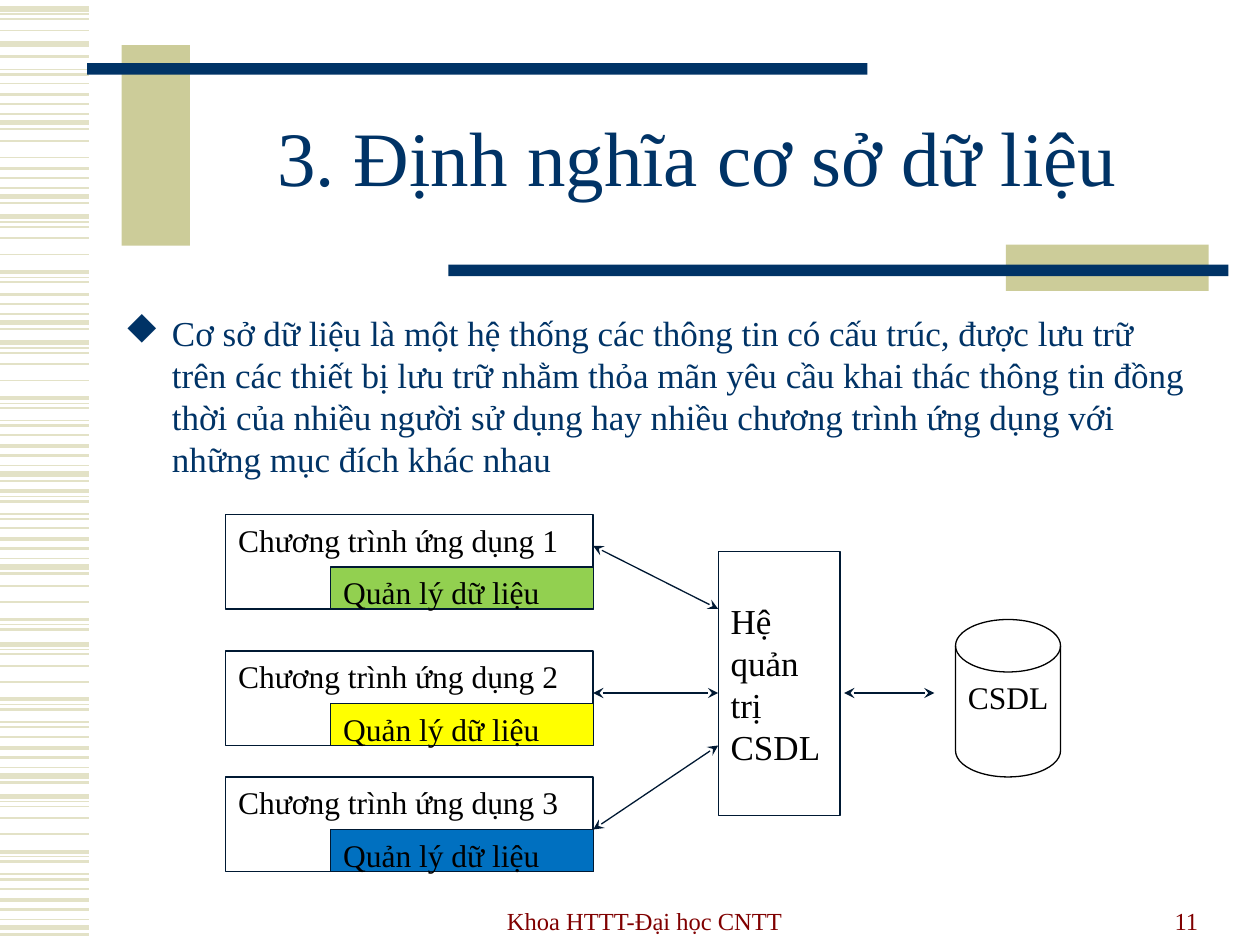
"""Build the slide that defines a database, with its stripes, boxes and arrows."""
from dataclasses import dataclass
from typing import NamedTuple

import lxml.etree
import pptx
import pptx.dml.color
import pptx.enum.shapes
import pptx.enum.text
import pptx.oxml.ns
import pptx.util

Kind = pptx.enum.shapes.MSO_SHAPE
Align = pptx.enum.text.PP_ALIGN
Anchor = pptx.enum.text.MSO_ANCHOR
qn = pptx.oxml.ns.qn

WIDE, HIGH = pptx.util.Inches(10), pptx.util.Inches(7.5)
COLS, ROWS = 120, 90


@dataclass(frozen=True)
class Theme:
    font: str = "Times New Roman"
    signs: str = "Wingdings"
    diamond: str = "u"
    navy: str = "003366"
    edge: str = "001933"
    sand: str = "CCCC99"
    pale: str = "E3E2C7"
    wine: str = "800000"
    ink: str = "000000"
    white: str = "FFFFFF"
    title: int = 44
    body: int = 20
    label: int = 18
    foot: int = 14
    thin: float = 0.75


class Area(NamedTuple):
    col: float
    row: float
    wide: float
    high: float


class Stripe(NamedTuple):
    row: float
    weight: float


class Run(NamedTuple):
    start: float
    first: int = 0
    last: int = 10


class App(NamedTuple):
    row: float
    fill: str


class Link(NamedTuple):
    left: float
    top: float
    right: float
    end: float


THEME = Theme()
BARS = [
    (Area(11.6, 4.3, 6.5, 19.1), THEME.sand),
    (Area(8.3, 6, 74.3, 1.1), THEME.navy),
    (Area(95.8, 23.3, 19.3, 4.4), THEME.sand),
    (Area(42.7, 25.2, 74.3, 1.1), THEME.navy),
]
RISE = [Stripe(-3.7, 1), Stripe(-2.65, 2.25), Stripe(-1.75, 1.5),
        Stripe(-0.8, 0.75), Stripe(0, 3), Stripe(0.65, 1.5)]
FALL = [Stripe(0, 3), Stripe(0.5, 0.75), Stripe(0.95, 1), Stripe(2.05, 1),
        Stripe(3.6, 1), Stripe(5.25, 2.25), Stripe(5.75, 0.75),
        Stripe(6.2, 1.5), Stripe(7.4, 0.75), Stripe(7.9, 1.5)]
RISES = [Run(11.65), Run(18.7), Run(30.7, 1), Run(45.15), Run(54), Run(73.9), Run(88.35)]
FALLS = [Run(-0.8, 7), Run(0.85, 0, 4), Run(4.2, 0, 1), Run(11.4, 3, 4),
         Run(20.65, 0, 8), Run(32.65), Run(41.55, 5), Run(53.75, 3, 8),
         Run(61.35), Run(75.85)]
APPS = [App(49, "92D050"), App(62, "FFFF00"), App(74, "0070C0")]
LINKS = [Link(56.5, 52, 68.4, 58), Link(56.5, 66, 68.4, 66),
         Link(56.5, 79, 68.4, 71), Link(80.4, 66, 89, 66)]
BODY = ("Cơ sở dữ liệu là một hệ thống các thông tin có cấu trúc, được lưu trữ "
        "trên các thiết bị lưu trữ nhằm thỏa mãn yêu cầu khai thác thông tin đồng "
        "thời của nhiều người sử dụng hay nhiều chương trình ứng dụng với "
        "những mục đích khác nhau")


def across(col: float) -> int:
    """Turn grid columns into a length."""
    return round(WIDE * col / COLS)


def down(row: float) -> int:
    """Turn grid rows into a length."""
    return round(HIGH * row / ROWS)


def frame(area: Area) -> tuple[int, int, int, int]:
    """Turn a grid area into left, top, width and height."""
    return across(area.col), down(area.row), across(area.wide), down(area.high)


def tint(code: str) -> pptx.dml.color.RGBColor:
    """Turn a hex code into a colour."""
    return pptx.dml.color.RGBColor.from_string(code)


def write(shape, text: str, *, size: int, color: str = THEME.ink, align=Align.LEFT,
          anchor=Anchor.TOP, wrap: bool = True, lead: float = 1.0, top: float = 0.6,
          bullet: str = "") -> None:
    """Put one formatted paragraph into a shape."""
    box = shape.text_frame
    box.word_wrap, box.vertical_anchor, box.margin_top = wrap, anchor, down(top)
    para = box.paragraphs[0]
    para.alignment, para.line_spacing = align, lead
    run = para.add_run()
    run.text = text
    run.font.name, run.font.size = THEME.font, pptx.util.Pt(size)
    run.font.color.rgb = tint(color)
    if bullet:
        para.space_before = pptx.util.Pt(5)
        props = para._p.get_or_add_pPr()
        indent = across(4.5)
        props.set("marL", str(indent))
        props.set("indent", str(-indent))
        hue = lxml.etree.SubElement(props, qn("a:buClr"))
        lxml.etree.SubElement(hue, qn("a:srgbClr")).set("val", color)
        face = lxml.etree.SubElement(props, qn("a:buFont"))
        face.set("typeface", THEME.signs)
        face.set("charset", "2")
        lxml.etree.SubElement(props, qn("a:buChar")).set("char", bullet)


def note(slide, area: Area, text: str, **form) -> None:
    """Add a text box."""
    write(slide.shapes.add_textbox(*frame(area)), text, **form)


def block(slide, area: Area, fill: str = "", edge: str = "", kind=Kind.RECTANGLE):
    """Add a flat shape with an optional fill and edge."""
    shape = slide.shapes.add_shape(kind, *frame(area))
    shape.shadow.inherit = False
    if fill:
        shape.fill.solid()
        shape.fill.fore_color.rgb = tint(fill)
    else:
        shape.fill.background()
    if edge:
        shape.line.color.rgb = tint(edge)
        shape.line.width = pptx.util.Pt(THEME.thin)
    else:
        shape.line.fill.background()
    return shape


def stroke(slide, link: Link, color: str, weight: float, heads: bool = False) -> None:
    """Add a straight line, with arrowheads at both ends if asked."""
    line = slide.shapes.add_connector(
        pptx.enum.shapes.MSO_CONNECTOR.STRAIGHT,
        across(link.left), down(link.top), across(link.right), down(link.end))
    line.line.color.rgb = tint(color)
    line.line.width = pptx.util.Pt(weight)
    if heads:
        for tag in ("a:headEnd", "a:tailEnd"):
            lxml.etree.SubElement(line.line._ln, qn(tag)).set("type", "stealth")
    lxml.etree.SubElement(line._element.spPr, qn("a:effectLst"))


def main() -> None:
    """Draw the slide and save it."""
    deck = pptx.Presentation()
    deck.slide_width, deck.slide_height = WIDE, HIGH
    slide = deck.slides.add_slide(deck.slide_layouts[6])

    for band, runs in ((RISE, RISES), (FALL, FALLS)):
        for run in runs:
            for stripe in band[run.first:run.last]:
                row = run.start + stripe.row
                stroke(slide, Link(0, row, 8.5, row), THEME.pale, stripe.weight)
    for area, fill in BARS:
        block(slide, area, fill)

    foot = dict(size=THEME.foot, color=THEME.wine, anchor=Anchor.BOTTOM)
    note(slide, Area(41.1, 83.7, 40.6, 6), "Khoa HTTT-Đại học CNTT", align=Align.CENTER, **foot)
    note(slide, Area(86.5, 83.7, 28.8, 6), "11", align=Align.RIGHT, **foot)
    note(slide, Area(18, 8, 96.8, 15), "3. Định nghĩa cơ sở dữ liệu", size=THEME.title,
         color=THEME.navy, align=Align.CENTER, anchor=Anchor.MIDDLE, lead=0.85)
    note(slide, Area(10.7, 29.1, 104.4, 50.9), BODY, size=THEME.body, color=THEME.navy,
         bullet=THEME.diamond)

    write(block(slide, Area(68.4, 52.5, 11.6, 25.2), edge=THEME.edge),
          "Hệ quản trị CSDL", size=THEME.body, top=4.6)
    for count, app in enumerate(APPS, 1):
        write(block(slide, Area(21.5, app.row, 35, 9), THEME.white, THEME.edge),
              f"Chương trình ứng dụng {count}", size=THEME.label, wrap=False)
        write(block(slide, Area(31.5, app.row + 5, 25, 4), app.fill, THEME.edge),
              "Quản lý dữ liệu", size=THEME.label, wrap=False)
    for link in LINKS:
        stroke(slide, link, THEME.edge, THEME.thin, heads=True)
    write(block(slide, Area(91, 59, 10, 15), THEME.white, THEME.ink, Kind.FLOWCHART_MAGNETIC_DISK),
          "CSDL", size=THEME.label, wrap=False)

    deck.save("out.pptx")


if __name__ == "__main__":
    main()
